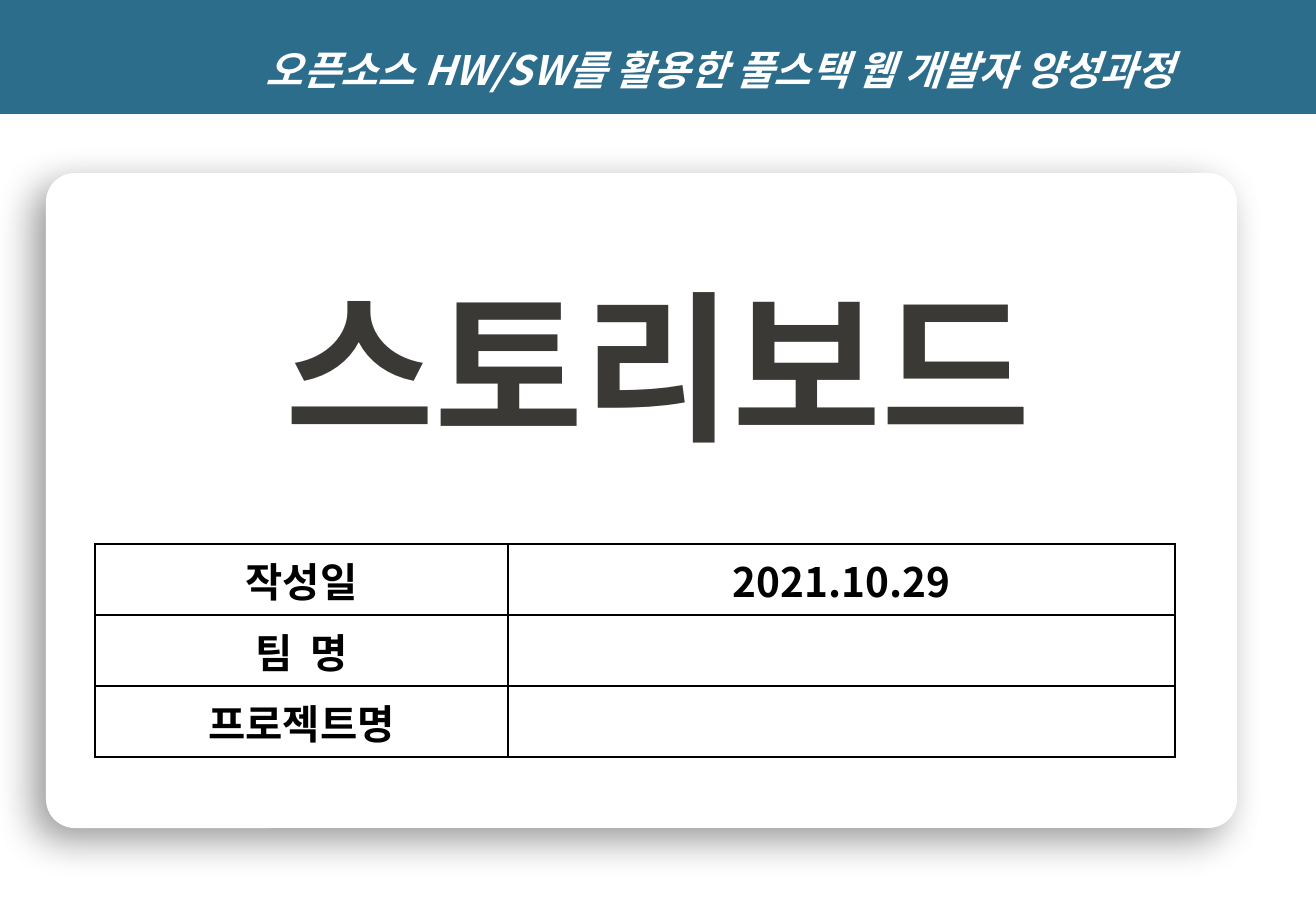
from dataclasses import dataclass

from lxml.etree import SubElement
from pptx import Presentation
from pptx.dml.color import RGBColor
from pptx.enum.shapes import MSO_SHAPE as Shape
from pptx.enum.text import MSO_ANCHOR as Anchor, PP_ALIGN as Align
from pptx.oxml import parse_xml
from pptx.oxml.ns import nsdecls, qn
from pptx.util import Emu, Pt

SCALE = 914400 / 121.5


@dataclass(frozen=True)
class Theme:
    banner: str = "2C6D8B"
    white: str = "FFFFFF"
    title: str = "3A3935"
    ink: str = "000000"
    body_font: str = "Noto Sans CJK KR"
    title_font: str = "Arial"
    body_size: int = 24
    title_size: int = 96
    border_width: int = 1


THEME = Theme()


def px(length):
    return Emu(round(length * SCALE))


def write(frame, text, color, font=THEME.body_font, size=THEME.body_size,
          italic=None, spacing=None):
    frame.text = text
    para = frame.paragraphs[0]
    para.alignment = Align.CENTER
    para.line_spacing = spacing
    for span in para.runs:
        span.font.name = font
        span.font.size = Pt(size)
        span.font.bold = True
        span.font.italic = italic
        span.font.color.rgb = RGBColor.from_string(color)
        SubElement(span.font._element, qn("a:ea"), typeface=font)


def add_panel(page, kind, bounds, color):
    panel = page.shapes.add_shape(kind, *map(px, bounds))
    panel.shadow.inherit = False
    panel.fill.solid()
    panel.fill.fore_color.rgb = RGBColor.from_string(color)
    panel.line.fill.background()
    return panel


def add_banner(page, bounds, text, indent):
    banner = add_panel(page, Shape.RECTANGLE, bounds, THEME.banner)
    frame = banner.text_frame
    frame.word_wrap = True
    frame.vertical_anchor = Anchor.MIDDLE
    frame.margin_left = px(indent)
    write(frame, text, THEME.white, italic=True, spacing=1.5)


def add_card(page, bounds):
    card = add_panel(page, Shape.ROUNDED_RECTANGLE, bounds, THEME.white)
    card.adjustments[0] = 0.044
    effects = card._element.spPr.find(qn("a:effectLst"))
    effects.append(parse_xml(
        f'<a:outerShdw {nsdecls("a")} blurRad="{Pt(24)}" dist="{Pt(10)}" '
        f'dir="{135 * 60000}" algn="tr" rotWithShape="0">'
        f'<a:srgbClr val="{THEME.ink}"><a:alpha val="40000"/></a:srgbClr>'
        '</a:outerShdw>'))


def add_title(page, bounds, text):
    box = page.shapes.add_textbox(*map(px, bounds))
    frame = box.text_frame
    frame.word_wrap = True
    frame.vertical_anchor = Anchor.MIDDLE
    write(frame, text, THEME.title, THEME.title_font, THEME.title_size, spacing=1.5)


def add_borders(cell):
    properties = cell._tc.get_or_add_tcPr()
    for index, side in enumerate(("lnL", "lnR", "lnT", "lnB")):
        properties.insert(index, parse_xml(
            f'<a:{side} {nsdecls("a")} w="{Pt(THEME.border_width)}">'
            f'<a:solidFill><a:srgbClr val="{THEME.ink}"/></a:solidFill></a:{side}>'))


def add_form(page, left, top, widths, row_height, rows):
    frame = page.shapes.add_table(
        len(rows), len(widths), px(left), px(top),
        px(sum(widths)), px(row_height * len(rows)))
    form = frame.table
    form.first_row = form.horz_banding = False
    for column, width in zip(form.columns, widths):
        column.width = px(width)
    for row, texts in zip(form.rows, rows):
        row.height = px(row_height)
        for cell, text in zip(row.cells, texts):
            cell.fill.background()
            cell.vertical_anchor = Anchor.MIDDLE
            add_borders(cell)
            write(cell.text_frame, text, THEME.ink)
            if not text:
                cell.text_frame.paragraphs[0].font.size = Pt(THEME.body_size)


def main():
    deck = Presentation()
    deck.slide_width, deck.slide_height = px(1316), px(911)
    page = deck.slides.add_slide(deck.slide_layouts[6])
    add_banner(page, (0, 0, 1316, 114),
               "오픈소스 HW/SW를 활용한 풀스택 웹 개발자 양성과정", 136)
    add_card(page, (46, 173, 1191, 655))
    add_title(page, (211, 224, 894, 182), "스토리보드")
    add_form(page, 95, 544, (413, 667), 71, (
        ("작성일", "2021.10.29"),
        ("팀  명", ""),
        ("프로젝트명", ""),
    ))
    deck.save("out.pptx")


main()
